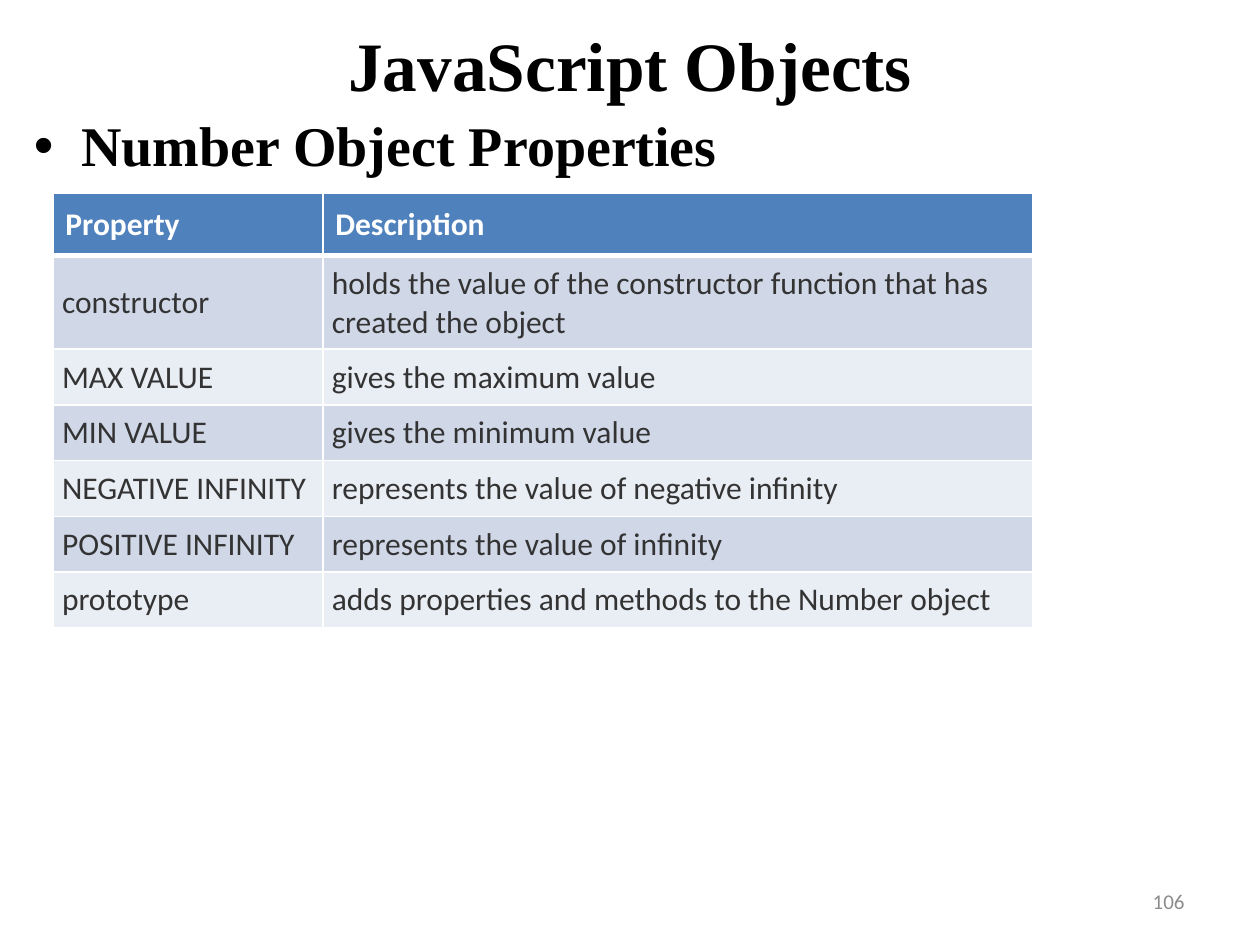
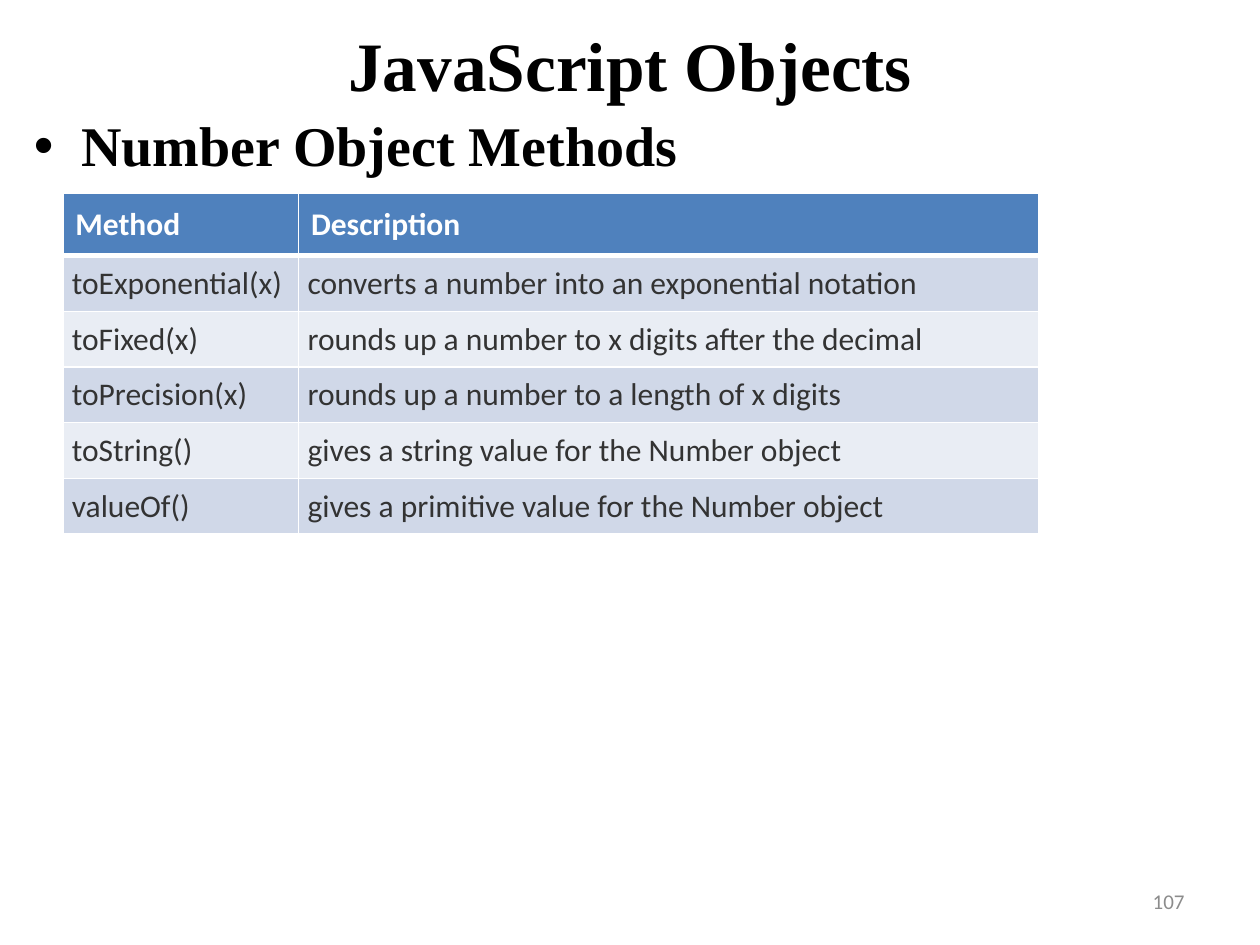
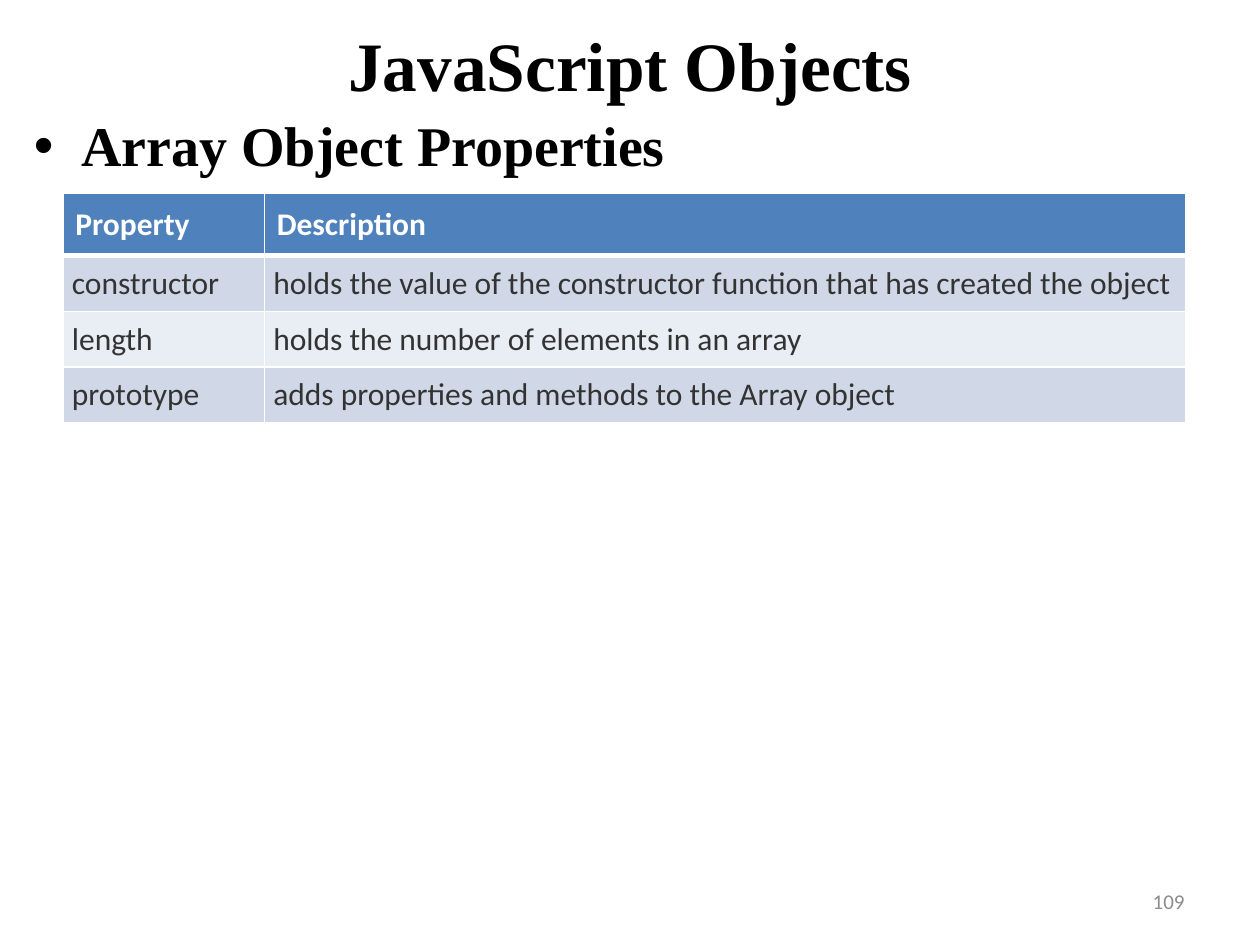
"""Build three slides of property and method tables for JavaScript objects."""
from lxml.etree import SubElement
from pptx import Presentation
from pptx.dml.color import RGBColor
from pptx.enum.text import MSO_ANCHOR as Anchor, MSO_AUTO_SIZE as AutoSize, PP_ALIGN as Align
from pptx.oxml.ns import qn
from pptx.util import Cm, Pt

TITLE = "JavaScript Objects"
SLIDES = [
    {
        "heading": "Number Object Properties",
        "number": "106",
        "left": 1.07,
        "columns": (5.44, 14.3),
        "rows": [
            ("Property", "Description"),
            ("constructor", "holds the value of the constructor function that has created the object"),
            ("MAX VALUE", "gives the maximum value"),
            ("MIN VALUE", "gives the minimum value"),
            ("NEGATIVE INFINITY", "represents the value of negative infinity"),
            ("POSITIVE INFINITY", "represents the value of infinity"),
            ("prototype", "adds properties and methods to the Number object"),
        ],
    },
    {
        "heading": "Number Object Methods",
        "number": "107",
        "left": 1.27,
        "columns": (4.75, 14.91),
        "rows": [
            ("Method", "Description"),
            ("toExponential(x)", "converts a number into an exponential notation"),
            ("toFixed(x)", "rounds up a number to x digits after the decimal"),
            ("toPrecision(x)", "rounds up a number to a length of x digits"),
            ("toString()", "gives a string value for the Number object"),
            ("valueOf()", "gives a primitive value for the Number object"),
        ],
    },
    {
        "heading": "Array Object Properties",
        "number": "109",
        "left": 1.27,
        "columns": (4.06, 18.57),
        "rows": [
            ("Property", "Description"),
            ("constructor", "holds the value of the constructor function that has created the object"),
            ("length", "holds the number of elements in an array"),
            ("prototype", "adds properties and methods to the Array object"),
        ],
    },
]

COLORS = {
    "title": "000000",
    "number": "8C8C8C",
    "header": "4F81BD",
    "header_text": "FFFFFF",
    "cell_text": "333333",
    "odd_row": "D0D8E8",
    "even_row": "E9EDF4",
    "border": "FFFFFF",
}
TITLE_FONT, TABLE_FONT = "Times New Roman", "Calibri"
TITLE_BOX = (0.64, 0.43, 24.13, 1.7)
BODY_BOX = (0.43, 2.11, 24.56, 16.31)
NUMBER_BOX = (18.21, 17.65, 5.92, 1.02)
TABLE_TOP, ROW_HEIGHT = 3.89, 1.04


def color(name):
    return RGBColor.from_string(COLORS[name])


def add_text(frame, text, font, size, color_name, bold=False, align=None):
    paragraph = frame.paragraphs[0]
    paragraph.alignment = align
    run = paragraph.add_run()
    run.text = text
    run.font.name = font
    run.font.size = Pt(size)
    run.font.bold = bold
    run.font.color.rgb = color(color_name)


def fill_placeholder(shape, box, text, size, align, anchor):
    shape.left, shape.top, shape.width, shape.height = map(Cm, box)
    frame = shape.text_frame
    frame.auto_size = AutoSize.NONE
    frame.vertical_anchor = anchor
    add_text(frame, text, TITLE_FONT, size, "title", True, align)


def add_number(slide, number):
    frame = slide.shapes.add_textbox(*map(Cm, NUMBER_BOX)).text_frame
    frame.word_wrap = True
    frame.vertical_anchor = Anchor.MIDDLE
    add_text(frame, number, TABLE_FONT, 12, "number", align=Align.RIGHT)


def set_borders(cell, row):
    widths = {"L": 1, "R": 1, "T": 3 if row == 1 else 1, "B": 3 if row == 0 else 1}
    properties = cell._tc.get_or_add_tcPr()
    for side, width in widths.items():
        line = SubElement(properties, qn(f"a:ln{side}"), w=str(Pt(width)))
        fill = SubElement(line, qn("a:solidFill"))
        SubElement(fill, qn("a:srgbClr"), val=COLORS["border"])


def format_cell(cell, row, text):
    is_header = row == 0
    margin = Cm(0.25 if is_header else 0.18)
    cell.margin_left = cell.margin_right = cell.margin_top = cell.margin_bottom = margin
    cell.vertical_anchor = Anchor.MIDDLE
    set_borders(cell, row)
    cell.fill.solid()
    cell.fill.fore_color.rgb = color("header" if is_header else "odd_row" if row % 2 else "even_row")
    add_text(cell.text_frame, text, TABLE_FONT, 18, "header_text" if is_header else "cell_text", is_header)


def add_reference_table(slide, left, columns, rows):
    table = slide.shapes.add_table(
        len(rows), len(columns), Cm(left), Cm(TABLE_TOP), Cm(sum(columns)), Cm(ROW_HEIGHT * len(rows))
    ).table
    table.horz_banding = False
    for column, width in zip(table.columns, columns):
        column.width = Cm(width)
    for row, texts in enumerate(rows):
        for column, text in enumerate(texts):
            format_cell(table.cell(row, column), row, text)


def main():
    presentation = Presentation()
    presentation.slide_width, presentation.slide_height = Cm(25.4), Cm(19.05)
    for content in SLIDES:
        slide = presentation.slides.add_slide(presentation.slide_layouts[1])
        fill_placeholder(slide.shapes.title, TITLE_BOX, TITLE, 39.6, Align.CENTER, Anchor.MIDDLE)
        fill_placeholder(slide.placeholders[1], BODY_BOX, content["heading"], 32, Align.JUSTIFY, Anchor.TOP)
        add_number(slide, content["number"])
        add_reference_table(slide, content["left"], content["columns"], content["rows"])
    presentation.save("out.pptx")


if __name__ == "__main__":
    main()
